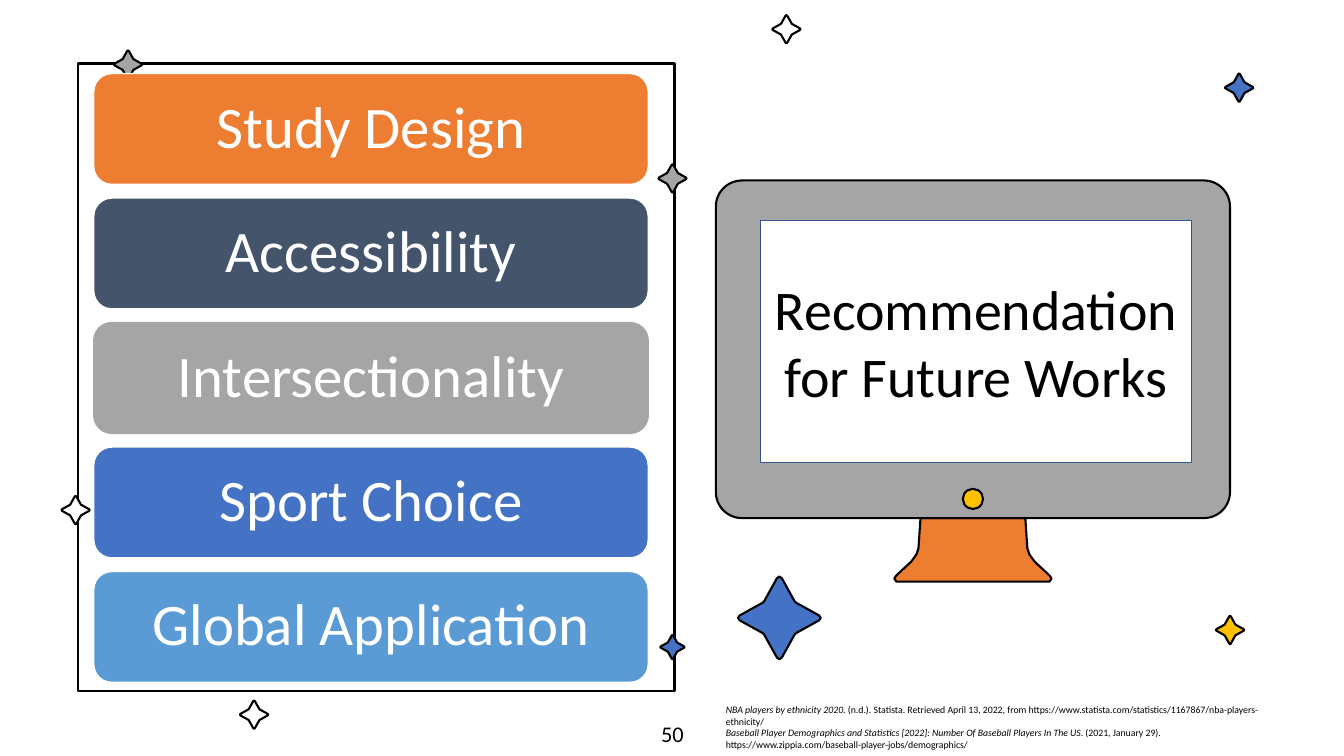
from dataclasses import dataclass

import pptx
import pptx.dml.color
import pptx.enum.shapes
import pptx.enum.text
import pptx.util

Inches = pptx.util.Inches
Shapes = pptx.enum.shapes.MSO_SHAPE
Align = pptx.enum.text.PP_ALIGN
Anchor = pptx.enum.text.MSO_ANCHOR

FONT = "Calibri"
BLACK, WHITE, GRAY = "000000", "FFFFFF", "A5A5A5"
BLUE, ORANGE, GOLD = "4472C4", "ED7D31", "FFC000"

# One arm of a star with unit radius; the other three are quarter turns of it.
STAR_ARM = [(0, -1), (0.06, -0.96), (0.37, -0.4), (0.4, -0.37), (0.96, -0.06)]

STAND_CENTER = 9.65
# Right half of the stand: distance from its center line, and height on the page.
STAND_HALF = [(0.52, 5.14), (0.54, 5.44), (0.56, 5.5), (0.61, 5.57),
              (0.76, 5.71), (0.78, 5.74), (0.76, 5.77), (0.7, 5.77)]


@dataclass
class Star:
    x: float
    y: float
    fill: str
    radius: float = 0.14


@dataclass
class Panel:
    label: str
    fill: str
    line: str = WHITE


@dataclass
class Span:
    text: str
    italic: bool = False


SMALL_STARS = [
    Star(6.67, 6.42, BLUE, 0.12),
    Star(6.67, 1.77, GRAY),
    Star(12.29, 0.87, BLUE),
    Star(7.8, 0.29, WHITE),
    Star(2.52, 7.09, WHITE),
    Star(0.75, 5.06, WHITE),
    Star(1.27, 0.64, GRAY),
    Star(12.2, 6.25, GOLD),
]
BIG_STAR = Star(7.73, 6.13, BLUE, 0.41)

PANELS = [
    Panel("Study Design", ORANGE),
    Panel("Accessibility", "44546A"),
    Panel("Intersectionality", GRAY, GRAY),
    Panel("Sport Choice", BLUE),
    Panel("Global Application", "5B9BD5"),
]
PANEL_TOP, PANEL_PITCH, PANEL_HEIGHT = 0.73, 1.235, 1.1

CITATIONS = [
    [Span("NBA players by ethnicity 2020", True),
     Span(". (n.d.). Statista. Retrieved April 13, 2022, from "
          "https://www.statista.com/statistics/1167867/nba-players-ethnicity/")],
    [Span("Baseball Player Demographics and Statistics [2022]: "
          "Number Of Baseball Players In The US", True),
     Span(". (2021, January 29). "
          "https://www.zippia.com/baseball-player-jobs/demographics/")],
]


def color(value: str) -> pptx.dml.color.RGBColor:
    return pptx.dml.color.RGBColor.from_string(value)


def paint(shape, fill: str, line: str, width: float):
    shape.shadow.inherit = False
    shape.fill.solid()
    shape.fill.fore_color.rgb = color(fill)
    shape.line.color.rgb = color(line)
    shape.line.width = pptx.util.Pt(width)
    return shape


def add_block(page, kind, left: float, top: float, width: float, height: float, *,
              fill: str, line: str = BLACK, line_width: float = 1.5,
              radius: float = 0):
    """Add a preset shape; radius is the corner radius in inches."""
    shape = page.shapes.add_shape(
        kind, Inches(left), Inches(top), Inches(width), Inches(height))
    if radius:
        shape.adjustments[0] = radius / min(width, height)
    return paint(shape, fill, line, line_width)


def add_outline(page, points: list[tuple[float, float]], fill: str):
    (start, *rest) = [(Inches(x), Inches(y)) for x, y in points]
    builder = page.shapes.build_freeform(*start)
    builder.add_line_segments(rest, close=True)
    return paint(builder.convert_to_shape(), fill, BLACK, 1.5)


def add_star(page, star: Star):
    points, arm = [], STAR_ARM
    for _ in range(4):
        points += [(star.x + star.radius * x, star.y + star.radius * y)
                   for x, y in arm]
        arm = [(-y, x) for x, y in arm]
    return add_outline(page, points, star.fill)


def write(shape, paragraphs: list[list[Span]], *, size: float, ink: str = BLACK,
          align=Align.CENTER, anchor=Anchor.MIDDLE, spacing: float = 1.0,
          inset: float | None = None):
    frame = shape.text_frame
    frame.word_wrap = True
    frame.vertical_anchor = anchor
    if inset is not None:
        frame.margin_left = frame.margin_right = Inches(inset)
        frame.margin_top = frame.margin_bottom = Inches(inset)
    for index, spans in enumerate(paragraphs):
        para = frame.add_paragraph() if index else frame.paragraphs[0]
        para.alignment = align
        para.line_spacing = spacing
        for span in spans:
            run = para.add_run()
            run.text = span.text
            run.font.name = FONT
            run.font.size = pptx.util.Pt(size)
            run.font.italic = span.italic
            run.font.color.rgb = color(ink)


def add_text(page, left: float, top: float, width: float, height: float,
             paragraphs: list[list[Span]], **style):
    box = page.shapes.add_textbox(
        Inches(left), Inches(top), Inches(width), Inches(height))
    write(box, paragraphs, **style)


def add_panels(page):
    for index, panel in enumerate(PANELS):
        block = add_block(
            page, Shapes.ROUNDED_RECTANGLE, 0.93, PANEL_TOP + index * PANEL_PITCH,
            5.5, PANEL_HEIGHT, fill=panel.fill, line=panel.line, line_width=1,
            radius=0.18)
        write(block, [[Span(panel.label)]], size=42, ink=WHITE, spacing=0.9,
              inset=0.23)


def add_monitor(page):
    right = [(STAND_CENTER + x, y) for x, y in STAND_HALF]
    left = [(STAND_CENTER - x, y) for x, y in reversed(STAND_HALF)]
    add_outline(page, right + left, ORANGE)
    add_block(page, Shapes.ROUNDED_RECTANGLE, 7.1, 1.79, 5.1, 3.35, fill=GRAY,
              radius=0.26)
    add_block(page, Shapes.OVAL, 9.55, 4.85, 0.2, 0.2, fill=GOLD)
    screen = add_block(page, Shapes.RECTANGLE, 7.54, 2.19, 4.28, 2.4, fill=WHITE,
                       line="325491", line_width=1)
    write(screen, [[Span("Recommendation for Future Works")]], size=40)


def main():
    deck = pptx.Presentation()
    deck.slide_width, deck.slide_height = Inches(13.33), Inches(7.5)
    page = deck.slides.add_slide(deck.slide_layouts[6])

    add_block(page, Shapes.RECTANGLE, 0.77, 0.63, 5.92, 6.23, fill=WHITE)
    for star in SMALL_STARS:
        add_star(page, star)
    add_panels(page)
    add_monitor(page)
    add_star(page, BIG_STAR)
    add_text(page, 5.17, 7.08, 3, 0.4, [[Span("50")]], size=16)
    add_text(page, 7.1, 6.93, 5.75, 0.57, CITATIONS, size=7, align=Align.LEFT,
             anchor=Anchor.TOP)
    deck.save("out.pptx")


if __name__ == "__main__":
    main()
